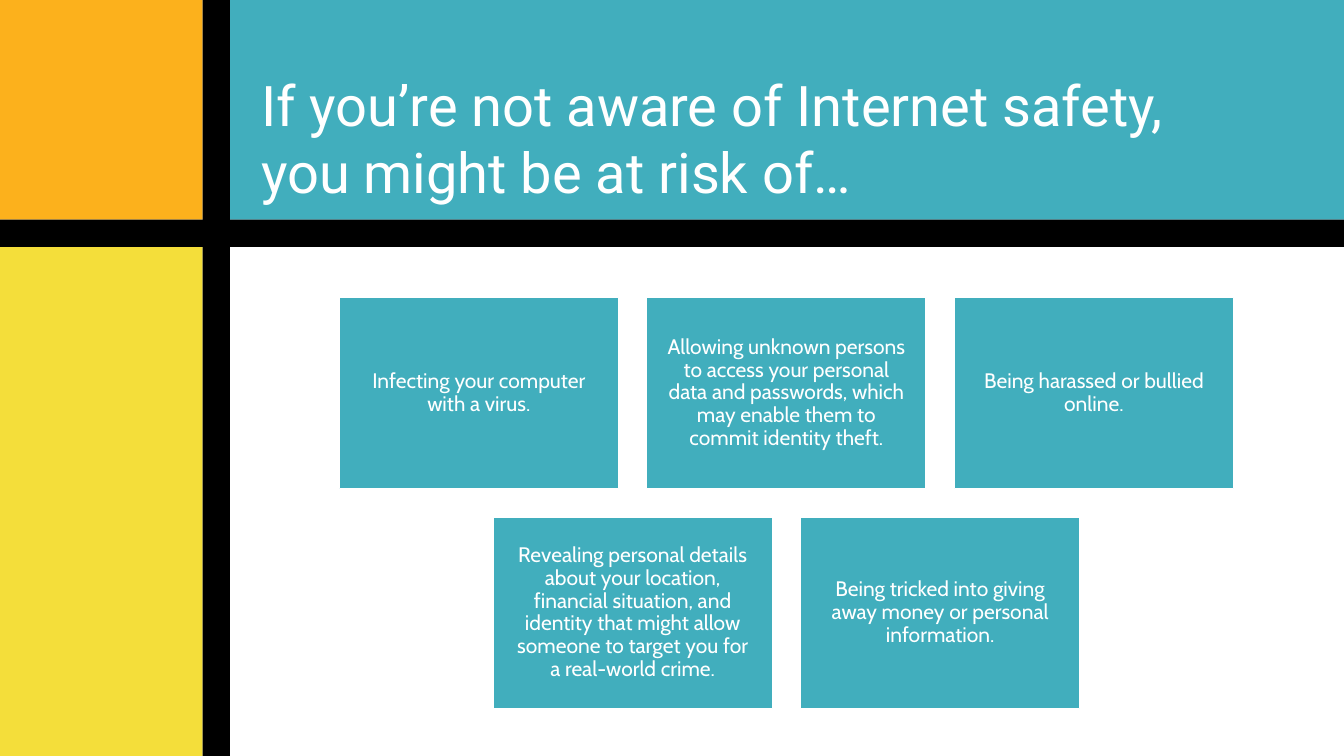
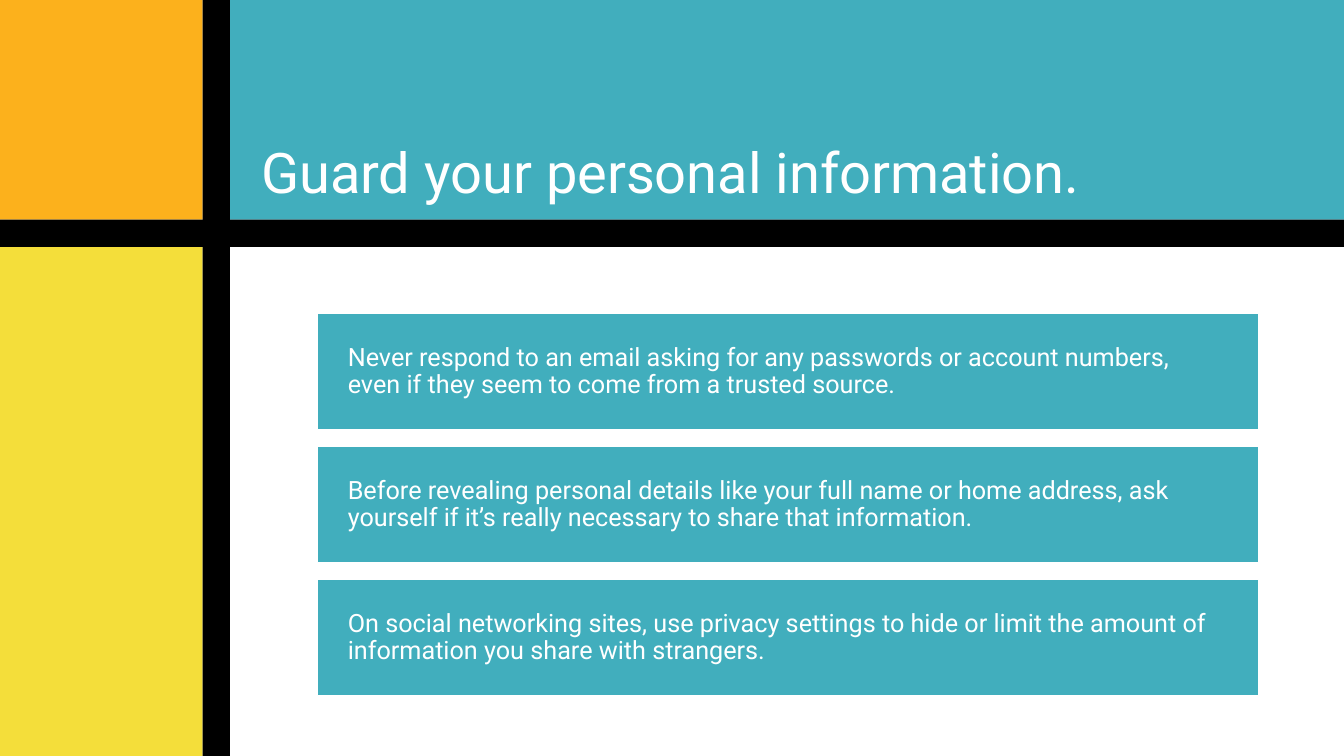
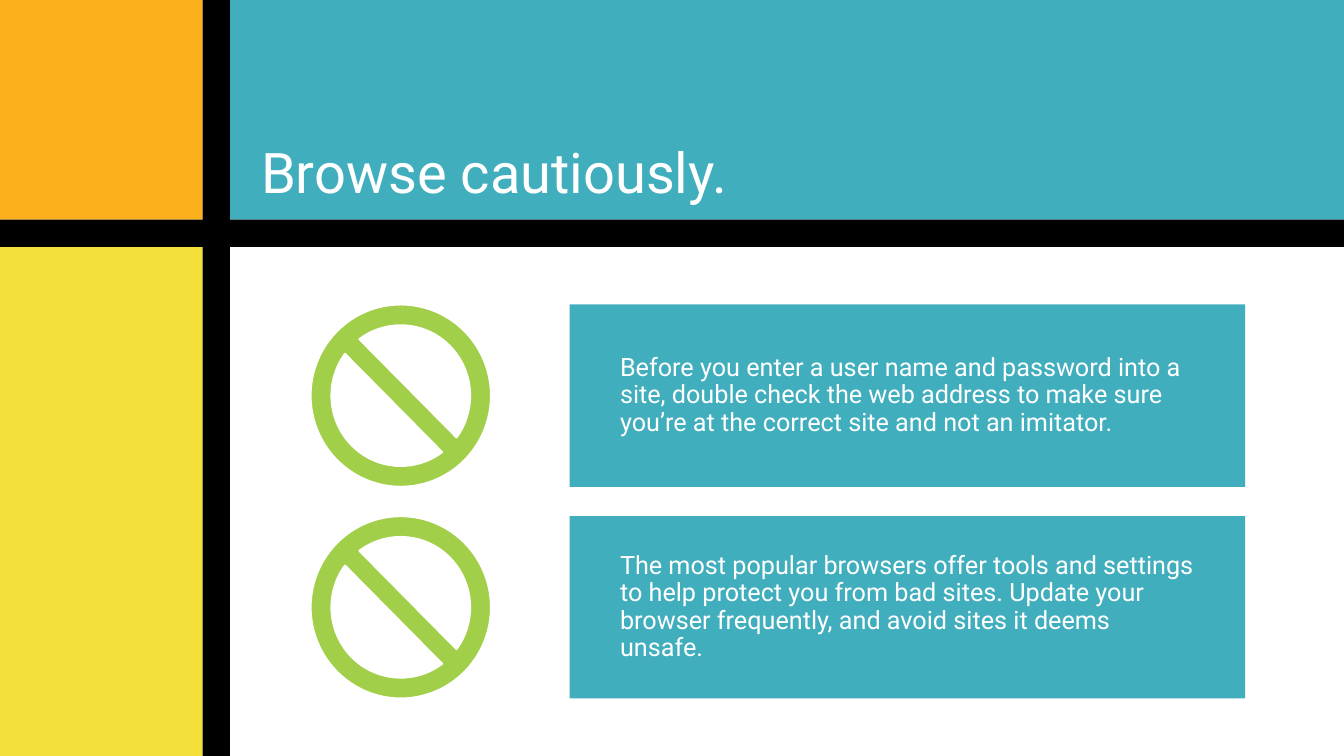
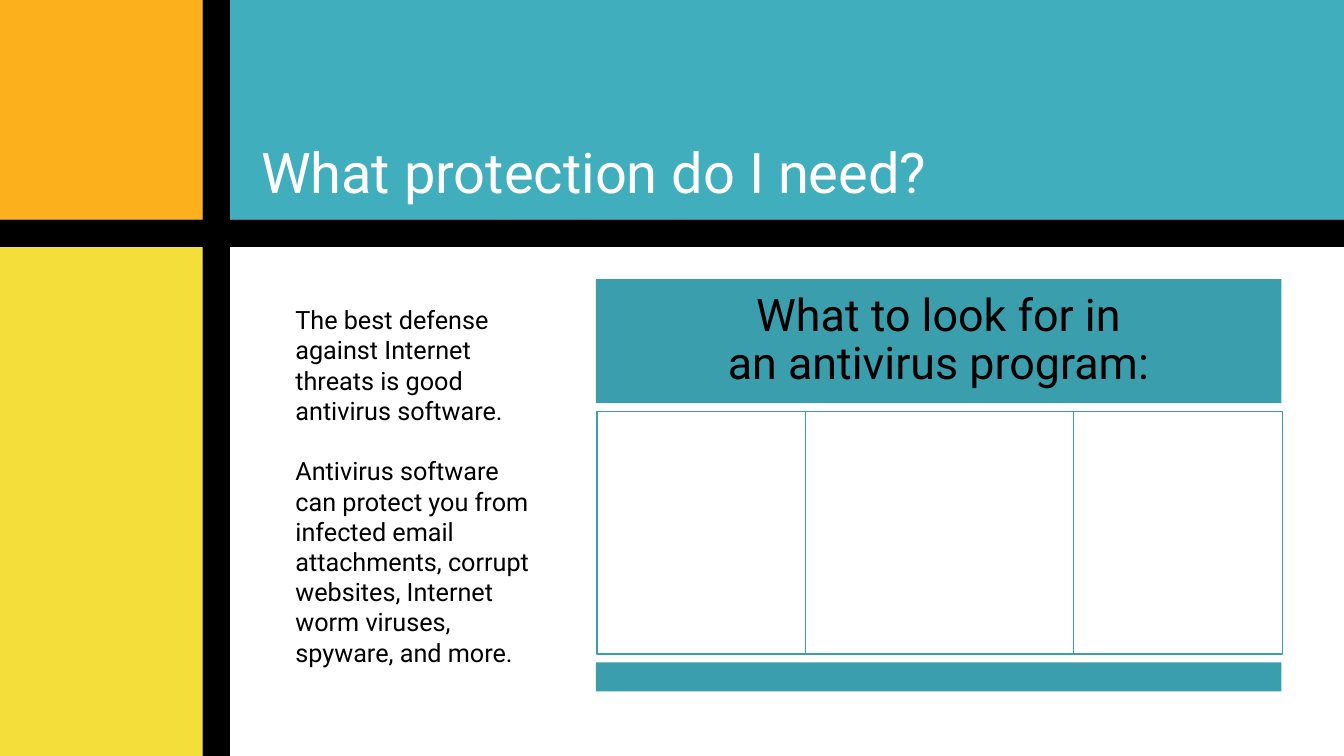
from dataclasses import dataclass
from itertools import accumulate

from pptx import Presentation
from pptx.dml.color import RGBColor
from pptx.enum import shapes, text
from pptx.util import Inches, Pt

TEAL, DARK, GOLD, YELLOW = "41AEBD", "3B9EAC", "FCB11C", "F4DE3A"
GREEN, WHITE, BLACK = "A2CF49", "FFFFFF", "000000"
RECT, BAN = shapes.MSO_SHAPE.RECTANGLE, shapes.MSO_SHAPE.NO_SYMBOL
LEFT, MID = text.PP_ALIGN.LEFT, text.PP_ALIGN.CENTER
WIDE, HIGH, BAR = 13.33, 7.5, 0.27


@dataclass
class Box:
    left: float
    top: float
    width: float
    height: float

    def lengths(self) -> list:
        return [Inches(n) for n in (self.left, self.top, self.width, self.height)]


@dataclass
class Style:
    size: float
    pad: tuple[float, float]  # side, top and bottom
    color: str = WHITE
    font: str = "Roboto"
    align: text.PP_ALIGN = LEFT
    anchor: text.MSO_ANCHOR = text.MSO_ANCHOR.MIDDLE
    pitch: float = 0.9
    gap: float = 0
    grow: bool = False


TITLE = Style(40, (0.3, 0.15), anchor=text.MSO_ANCHOR.BOTTOM, pitch=1, grow=True)
CARD = Style(15, (0.2, 0.1), font="Cabin", align=MID)
ROW = Style(18, (0.3, 0.1))
PANEL = Style(18, (0.5, 0.1))
HEAD = Style(32, (0.13, 0.13), BLACK, align=MID)
BODY = Style(18, (0.3, 0.2), BLACK, anchor=text.MSO_ANCHOR.TOP, pitch=1,
             gap=21.6, grow=True)


def rgb(code: str) -> RGBColor:
    return RGBColor.from_string(code)


def write(shape, style: Style, *paras: str) -> None:
    frame = shape.text_frame
    frame.word_wrap = True
    frame.vertical_anchor = style.anchor
    if style.grow:
        frame.auto_size = text.MSO_AUTO_SIZE.SHAPE_TO_FIT_TEXT
    side, edge = (Inches(n) for n in style.pad)
    frame.margin_left = frame.margin_right = side
    frame.margin_top = frame.margin_bottom = edge
    for i, words in enumerate(paras):
        para = frame.add_paragraph() if i else frame.paragraphs[0]
        para.text = words
        para.alignment = style.align
        para.line_spacing = style.pitch
        if i:
            para.space_before = Pt(style.gap)
        para.font.size = Pt(style.size)
        para.font.name = style.font
        para.font.color.rgb = rgb(style.color)


def draw(slide, box: Box, fill: str, line: str = "", weight: float = 1, kind=RECT):
    shape = slide.shapes.add_shape(kind, *box.lengths())
    shape.shadow.inherit = False
    shape.fill.solid()
    shape.fill.fore_color.rgb = rgb(fill)
    if line:
        shape.line.color.rgb = rgb(line)
        shape.line.width = Pt(weight)
    else:
        shape.line.fill.background()
    return shape


def label(slide, box: Box, style: Style, *paras: str) -> None:
    write(slide.shapes.add_textbox(*box.lengths()), style, *paras)


def page(deck, title: str):
    slide = deck.slides.add_slide(deck.slide_layouts[6])
    height = 0.31 + 0.67 * len(title.split("\n"))
    label(slide, Box(2.29, 2.18 - height, 11.05, height), TITLE, title)
    return slide


def frame(deck, slide) -> None:
    """Put the colour bands into the layout that every slide uses."""
    layout = deck.slide_layouts[6]
    for holder in list(layout.placeholders):
        holder.element.getparent().remove(holder.element)
    bands = [
        (Box(2.28, 0, 11.05, 2.18), TEAL),
        (Box(0, 0, 2.01, 2.18), GOLD),
        (Box(0, 2.45, 2.01, 5.05), YELLOW),
        (Box(0, 2.18, WIDE, BAR), BLACK),
        (Box(2.01, 0, BAR, HIGH), BLACK),
    ]
    for box, fill in bands:
        layout.shapes.element.append(draw(slide, box, fill).element)


def risks(slide) -> None:
    rows = [
        ["Infecting your computer with a virus.",
         "Allowing unknown persons to access your personal data and passwords, "
         "which may enable them to commit identity theft.",
         "Being harassed or bullied online."],
        ["Revealing personal details about your location, financial situation, "
         "and identity that might allow someone to target you for a real-world crime.",
         "Being tricked into giving away money or personal information."],
    ]
    width, height, gap, center = 2.77, 1.9, 0.28, 7.8
    for r, row in enumerate(rows):
        left = center - (len(row) * (width + gap) - gap) / 2
        for c, words in enumerate(row):
            box = Box(left + c * (width + gap), 2.95 + r * (height + gap), width, height)
            write(draw(slide, box, TEAL, WHITE), CARD, words)


def guard(slide) -> None:
    tips = [
        "Never respond to an email asking for any passwords or account numbers, "
        "even if they seem to come from a trusted source.",
        "Before revealing personal details like your full name or home address, "
        "ask yourself if it’s really necessary to share that information.",
        "On social networking sites, use privacy settings to hide or limit the "
        "amount of information you share with strangers.",
    ]
    for i, words in enumerate(tips):
        box = Box(3.15, 3.11 + i * 1.32, 9.33, 1.15)
        write(draw(slide, box, TEAL, WHITE), ROW, words)


def browse(slide) -> None:
    tips = [
        "Before you enter a user name and password into a site, double check the "
        "web address to make sure you’re at the correct site and not an imitator.",
        "The most popular browsers offer tools and settings to help protect you "
        "from bad sites. Update your browser frequently, and avoid sites it deems "
        "unsafe.",
    ]
    for i, words in enumerate(tips):
        top = 3.02 + i * 2.1
        write(draw(slide, Box(5.65, top, 6.7, 1.81), TEAL), PANEL, words)
        sign = draw(slide, Box(3.08, top, 1.79, 1.81), GREEN, WHITE, 1.5, BAN)
        sign.adjustments[0] = 0.116


def protect(slide) -> None:
    label(slide, Box(2.63, 2.82, 2.95, 4.04), BODY,
          "The best defense against Internet threats is good antivirus software.",
          "Antivirus software can protect you from infected email attachments, "
          "corrupt websites, Internet worm viruses, spyware, and more.")
    head = draw(slide, Box(5.91, 2.77, 6.8, 1.23), DARK)
    write(head, HEAD, "What to look for in\nan antivirus program:")
    widths = [2.07, 2.66, 2.07]
    for left, width in zip(accumulate(widths, initial=5.92), widths):
        draw(slide, Box(left, 4.08, width, 2.41), WHITE, DARK)
    draw(slide, Box(5.91, 6.57, 6.8, 0.29), DARK)


def main() -> None:
    deck = Presentation()
    deck.slide_width, deck.slide_height = Inches(WIDE), Inches(HIGH)
    pages = [
        ("If you’re not aware of Internet safety,\nyou might be at risk of…", risks),
        ("Guard your personal information.", guard),
        ("Browse cautiously.", browse),
        ("What protection do I need?", protect),
    ]
    for i, (title, fill) in enumerate(pages):
        slide = page(deck, title)
        if not i:
            frame(deck, slide)
        fill(slide)
    deck.save("out.pptx")


if __name__ == "__main__":
    main()
